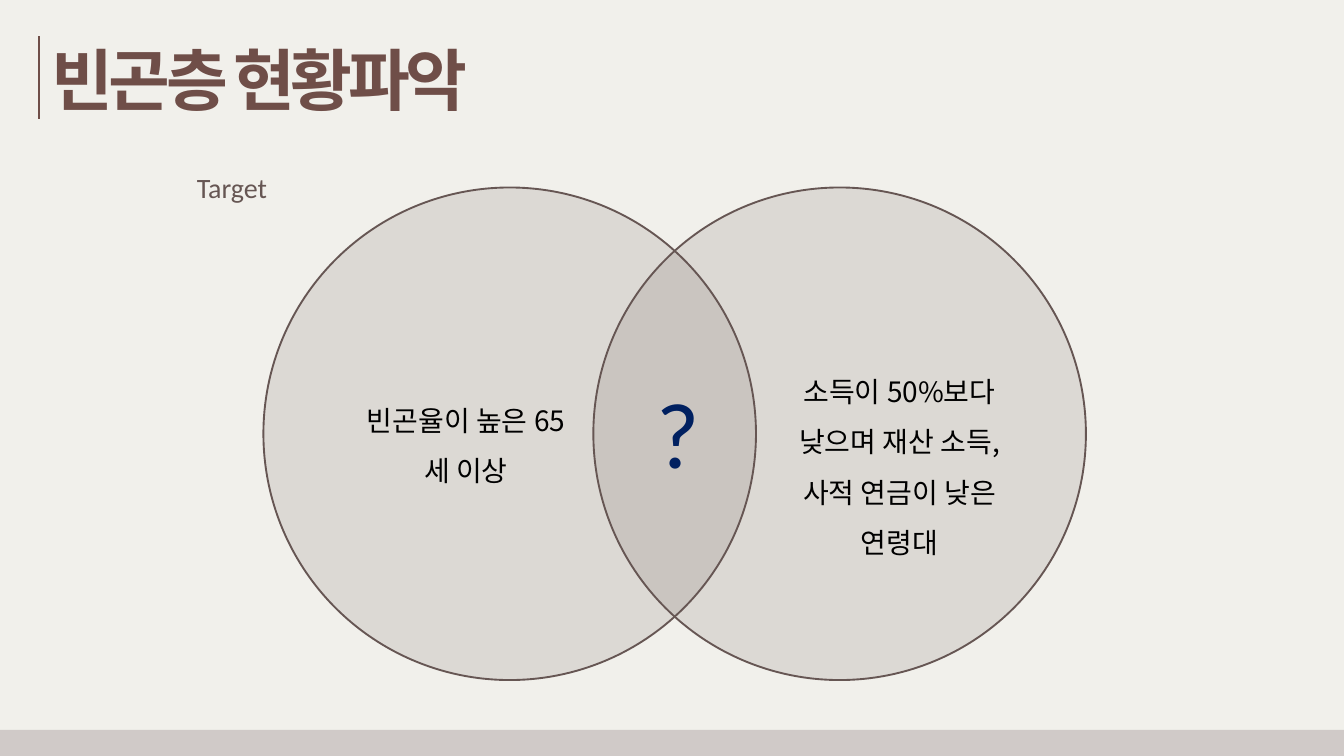
import pptx
import pptx.util
import pptx.dml.color
import pptx.enum.shapes
import pptx.enum.text
import pptx.oxml.ns
from lxml import etree

Inches, Pt = pptx.util.Inches, pptx.util.Pt
RGB = pptx.dml.color.RGBColor.from_string
MSO_SHAPE = pptx.enum.shapes.MSO_SHAPE
ALIGN = pptx.enum.text.PP_ALIGN
qn = pptx.oxml.ns.qn

# Content: text, box (left, top, width, height), style
TITLE = ("빈곤층 현황파악", (0.77, 0.56, 7.06, 1.23), "title")
LABELS = [
    ("Target", (2.83, 2.49, 1.75, 0.61), "label"),
    ("빈곤율이 높은 65세 이상", (5.35, 5.7, 3.17, 1.53), "body"),
    ("소득이 50%보다 낮으며 재산 소득, 사적 연금이 낮은 연령대",
     (11.58, 5.27, 3.61, 3.13), "body"),
    ("?", (9.67, 5.54, 1.11, 1.78), "question"),
]

THEME = {
    "paper": "F1F0EB", "footer": "D0CAC8", "accent": "6F4E48", "circle": "665653",
    "circle_alpha": 15, "rule_width": 2.25, "circle_width": 2,
    "east_asian": "Noto Sans CJK KR",
    "title": dict(font="Arial", size=72, color="6F4E48", bold=True, spacing=-5),
    "label": dict(font="Calibri", size=30, color="665653"),
    "body": dict(font="Noto Sans CJK KR", size=30, color="000000",
                 align=ALIGN.CENTER, line_spacing=1.5),
    "question": dict(font="Calibri", size=100, color="002060"),
}

# Layout
WIDTH, HEIGHT = 20, 11.25
FOOTER_TOP = 10.86
RULE_X, RULE_TOP, RULE_BOTTOM = 0.58, 0.54, 1.77
CIRCLE_LEFT, CIRCLE_TOP, CIRCLE_SIZE, CIRCLE_STEP = 3.92, 2.79, 7.33, 4.91


def add_text(slide, text, box, style, insets=None):
    look = THEME[style]
    sp = slide.shapes.add_textbox(*map(Inches, box))
    tf = sp.text_frame
    tf.word_wrap = True
    tf.auto_size = pptx.enum.text.MSO_AUTO_SIZE.SHAPE_TO_FIT_TEXT
    if insets:
        tf.margin_left, tf.margin_top, tf.margin_right, tf.margin_bottom = map(Inches, insets)
    p = tf.paragraphs[0]
    p.alignment = look.get("align", ALIGN.LEFT)
    p.line_spacing = look.get("line_spacing")
    r = p.add_run()
    r.text = text
    r.font.name = look["font"]
    r.font.size = Pt(look["size"])
    r.font.bold = look.get("bold", False)
    r.font.color.rgb = RGB(look["color"])
    props = r.font._element
    etree.SubElement(props, qn("a:ea")).set("typeface", THEME["east_asian"])
    if "spacing" in look:
        props.set("spc", str(look["spacing"] * 100))


def add_filled(slide, kind, box, color):
    sp = slide.shapes.add_shape(kind, *map(Inches, box))
    sp.shadow.inherit = False
    sp.fill.solid()
    sp.fill.fore_color.rgb = RGB(color)
    sp.line.fill.background()
    return sp


def add_circle(slide, left):
    box = (left, CIRCLE_TOP, CIRCLE_SIZE, CIRCLE_SIZE)
    sp = add_filled(slide, MSO_SHAPE.FLOWCHART_CONNECTOR, box, THEME["circle"])
    color = sp._element.spPr.find(qn("a:solidFill"))[0]
    etree.SubElement(color, qn("a:alpha")).set("val", str(THEME["circle_alpha"] * 1000))
    sp.line.color.rgb = RGB(THEME["circle"])
    sp.line.width = Pt(THEME["circle_width"])


def main():
    prs = pptx.Presentation()
    prs.slide_width, prs.slide_height = Inches(WIDTH), Inches(HEIGHT)
    s = prs.slides.add_slide(prs.slide_layouts[6])

    # Paper background and footer band
    s.background.fill.solid()
    s.background.fill.fore_color.rgb = RGB(THEME["paper"])
    add_filled(s, MSO_SHAPE.RECTANGLE, (0, FOOTER_TOP, WIDTH, HEIGHT - FOOTER_TOP),
               THEME["footer"])

    # Title with its vertical rule
    add_text(s, *TITLE, insets=(0, 0.01, 0, 0))
    rule = s.shapes.add_connector(pptx.enum.shapes.MSO_CONNECTOR.STRAIGHT, Inches(RULE_X),
                                  Inches(RULE_TOP), Inches(RULE_X), Inches(RULE_BOTTOM))
    rule.line.color.rgb = RGB(THEME["accent"])
    rule.line.width = Pt(THEME["rule_width"])
    etree.SubElement(rule._element.spPr, qn("a:effectLst"))

    # Two overlapping circles
    for i in range(2):
        add_circle(s, CIRCLE_LEFT + i * CIRCLE_STEP)

    # Labels over the diagram
    for label in LABELS:
        add_text(s, *label)

    prs.save("out.pptx")


if __name__ == "__main__":
    main()
